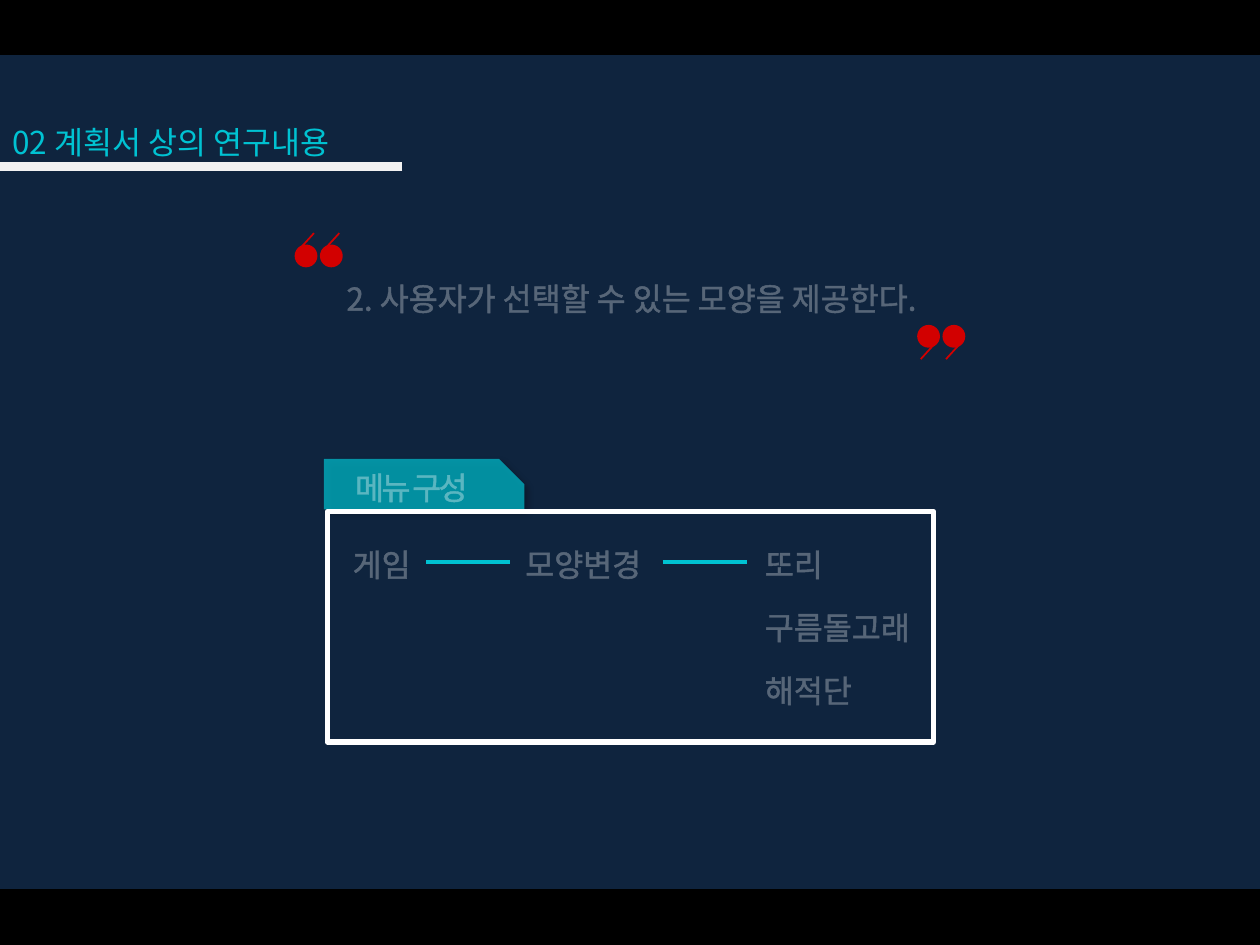
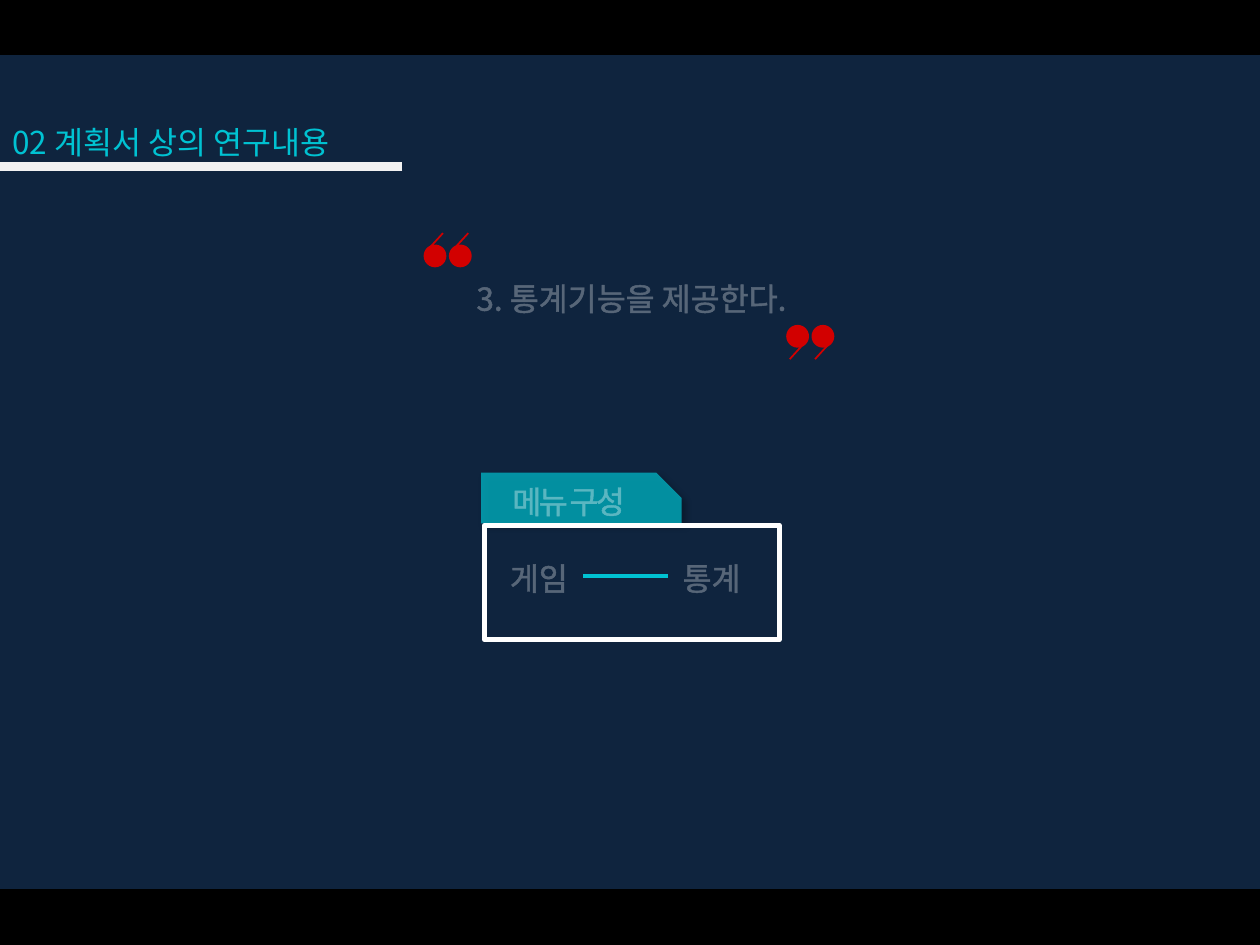
"""Builds two dark slides, each with a quoted research goal and its menu path."""
from lxml.etree import SubElement
from pptx import Presentation
from pptx.dml.color import RGBColor
from pptx.enum.shapes import MSO_CONNECTOR as Link, MSO_SHAPE as Preset
from pptx.enum.text import MSO_AUTO_SIZE as Fit, PP_ALIGN as Align
from pptx.oxml import parse_xml
from pptx.oxml.ns import nsdecls, qn
from pptx.util import Cm, Pt

NAVY = RGBColor(0x0F, 0x24, 0x3E)
CYAN = RGBColor(0x00, 0xC2, 0xD2)
BLACK = RGBColor(0x00, 0x00, 0x00)
WHITE = RGBColor(0xFF, 0xFF, 0xFF)
PALE = RGBColor(0xF2, 0xF2, 0xF2)
RED = RGBColor(0xD2, 0x00, 0x00)

WIDTH, HEIGHT = 25.4, 19.05
BAND = 1.09
ROW = 1.02
DOT, DOT_STEP = 0.46, 0.51
TAIL = ((0.09, 0.1), (0.39, -0.23))
MENU_COLUMNS = ((0.33, 1.7), (3.81, 3.76), (8.64, 4.45))
LINK_STARTS, LINK_LENGTH = (2.06, 6.83), 1.7

GOALS = (
    {"statement": "2. 사용자가 선택할 수 있는 모양을 제공한다.",
     "quotes": (5.94, 18.49), "tab": (6.53, 9.25), "frame": (12.22, 4.65),
     "menu": (("게임",), ("모양변경",), ("또리", "구름돌고래", "해적단"))},
    {"statement": "3. 통계기능을 제공한다.",
     "quotes": (8.54, 15.85), "tab": (9.7, 9.53), "frame": (5.94, 2.31),
     "menu": (("게임",), ("통계",))},
)


class Painter:
    """Holds the deck style and the current page."""

    font = {"name": "Noto Sans CJK KR", "size": Pt(18)}
    para = {"line_spacing": Pt(22), "space_after": Pt(0)}
    frame = {"word_wrap": True, "auto_size": Fit.SHAPE_TO_FIT_TEXT}

    def __init__(self):
        """Open an empty deck."""
        self.deck = Presentation()
        self.deck.slide_width, self.deck.slide_height = Cm(WIDTH), Cm(HEIGHT)
        self.page = None

    @staticmethod
    def apply(target, values):
        """Set each format value on the target."""
        for name, value in values.items():
            setattr(target, name, value)

    def new_page(self):
        """Start a blank page with the shared bands and title."""
        self.page = self.deck.slides.add_slide(self.deck.slide_layouts[6])
        fill = self.page.background.fill
        fill.solid()
        fill.fore_color.rgb = NAVY
        for top in (-0.02, HEIGHT - BAND):
            self.shape(Preset.RECTANGLE, (0, top, WIDTH, BAND), BLACK, BLACK, 2)
        self.text(("02 계획서 상의 연구내용",), (0, 2.34, 8.3, ROW), CYAN, 35, Align.JUSTIFY)
        self.line((8.11, 3.36), (-2.46, 3.36), PALE, 5)

    def shape(self, preset, place, color=None, edge=None, weight=0):
        """Add a preset shape without a shadow."""
        box = self.page.shapes.add_shape(preset, *map(Cm, place))
        box.shadow.inherit = False
        if color is None:
            box.fill.background()
        else:
            box.fill.solid()
            box.fill.fore_color.rgb = color
        if edge is None:
            box.line.fill.background()
        else:
            self.apply(box.line, {"width": Pt(weight)})
            box.line.color.rgb = edge
        return box

    def line(self, start, end, color, weight):
        """Add a straight line without a shadow."""
        link = self.page.shapes.add_connector(Link.STRAIGHT, *map(Cm, start + end))
        link.line.color.rgb = color
        link.line.width = Pt(weight)
        SubElement(link._element.spPr, qn("a:effectLst"))

    def text(self, lines, place, color, glow, align=Align.LEFT, gap=0, spacing=0):
        """Add lines of text with a translucent outline."""
        box = self.page.shapes.add_textbox(*map(Cm, place))
        self.apply(box.text_frame, self.frame)
        box.text_frame.text = "\n".join(lines)
        for index, para in enumerate(box.text_frame.paragraphs):
            self.apply(para, self.para | {"alignment": align,
                                          "space_before": Pt(gap if index else 0)})
            span = para.runs[0]
            self.apply(span.font, self.font)
            span.font.color.rgb = color
            props = span.font._element
            props.insert(0, parse_xml(
                f'<a:ln {nsdecls("a")} w="9525"><a:solidFill><a:srgbClr val="{color}">'
                f'<a:alpha val="{glow * 1000}"/></a:srgbClr></a:solidFill></a:ln>'))
            SubElement(props, qn("a:ea"), typeface=self.font["name"])
            if spacing:
                props.set("spc", str(spacing))

    def quote(self, left, top, closing=False):
        """Add a pair of quote marks; a closing pair is turned by half."""
        for x in (left, left + DOT_STEP):
            self.shape(Preset.OVAL, (x, top, DOT, DOT), RED)
            ends = [(DOT - dx, DOT - dy) if closing else (dx, dy) for dx, dy in TAIL]
            start, end = [(x + dx, top + dy) for dx, dy in ends]
            self.line(start, end, RED, 1)

    def tab(self, left, top):
        """Add the translucent menu tab with its drop shadow."""
        box = self.shape(Preset.SNIP_1_RECTANGLE, (left, top, 4.04, ROW), CYAN)
        box.adjustments[0] = 0.5
        color = box._element.spPr.find(qn("a:solidFill"))[0]
        SubElement(color, qn("a:alpha"), val="70000")
        effects = box._element.spPr.find(qn("a:effectLst"))
        effects.append(parse_xml(
            f'<a:outerShdw {nsdecls("a")} blurRad="{Pt(4)}" dist="{Pt(3)}" dir="2700000" '
            f'algn="tl" rotWithShape="0"><a:srgbClr val="{BLACK}">'
            '<a:alpha val="40000"/></a:srgbClr></a:outerShdw>'))
        self.text(("메뉴 구성",), (left + 0.38, top + 0.05, 3.07, ROW), WHITE, 35, spacing=-150)

    def menu(self, left, top, size, columns):
        """Add the tab, the frame and the linked menu columns."""
        self.tab(left, top)
        self.shape(Preset.RECTANGLE, (left + 0.07, top + 1.06, *size), None, WHITE, 3)
        for (dx, width), items in zip(MENU_COLUMNS, columns):
            height = ROW + 1.27 * (len(items) - 1)
            self.text(items, (left + dx, top + 1.6, width, height), WHITE, 30, gap=14)
        for dx in LINK_STARTS[:len(columns) - 1]:
            x, y = left + dx, top + 2.08
            self.line((x, y), (x + LINK_LENGTH, y), CYAN, 2)


def main():
    """Build and save the deck."""
    painter = Painter()
    for goal in GOALS:
        painter.new_page()
        painter.text((goal["statement"],), (3.53, 5.49, 18.4, ROW), WHITE, 30, Align.CENTER)
        opening, closing = goal["quotes"]
        painter.quote(opening, 4.93)
        painter.quote(closing, 6.55, closing=True)
        painter.menu(*goal["tab"], goal["frame"], goal["menu"])
    painter.deck.save("out.pptx")


if __name__ == "__main__":
    main()
